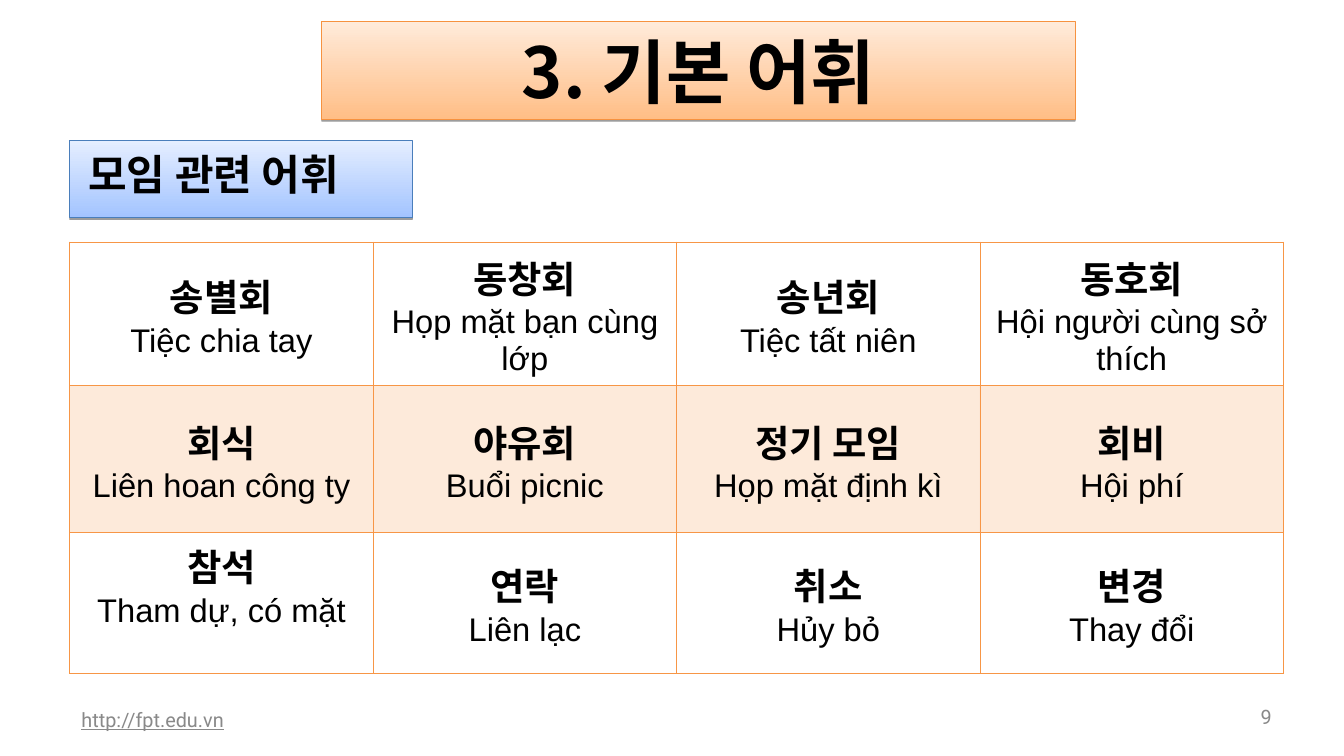
from dataclasses import dataclass

from lxml.etree import SubElement
from pptx import Presentation
from pptx.dml.color import RGBColor
from pptx.enum.shapes import MSO_SHAPE
from pptx.enum.text import MSO_ANCHOR, MSO_AUTO_SIZE, PP_ALIGN
from pptx.oxml.ns import qn
from pptx.util import Inches, Pt

COLUMNS, ROWS = 16, 9


@dataclass(frozen=True)
class Theme:
    """Colours, fonts and type sizes of the slide."""
    ink: str = "000000"
    muted: str = "898989"
    accent: str = "F79646"
    orange: tuple = ("FFBE86", "FFEBDB", "F69240")
    blue: tuple = ("A3C4FF", "E5EEFF", "4A7EBB")
    korean: str = "Noto Sans CJK KR"
    vietnamese: str = "Arial"
    footer: str = "Roboto"
    title_size: int = 60
    label_size: int = 36
    word_size: int = 32
    meaning_size: int = 28
    footer_size: int = 17


THEME = Theme()

VOCABULARY = [
    [("송별회", "Tiệc chia tay"), ("동창회", "Họp mặt bạn cùng lớp"),
     ("송년회", "Tiệc tất niên"), ("동호회", "Hội người cùng sở thích")],
    [("회식", "Liên hoan công ty"), ("야유회", "Buổi picnic"),
     ("정기 모임", "Họp mặt định kì"), ("회비", "Hội phí")],
    [("참석", "Tham dự, có mặt"), ("연락", "Liên lạc"),
     ("취소", "Hủy bỏ"), ("변경", "Thay đổi")],
]


def grid_box(deck, left, top, width, height):
    """Turn grid columns and rows into slide lengths."""
    column, row = deck.slide_width / COLUMNS, deck.slide_height / ROWS
    return int(left * column), int(top * row), int(width * column), int(height * row)


def write(para, text, size, face, color=THEME.ink, bold=False, underline=False,
          align=PP_ALIGN.LEFT):
    """Add one formatted span to a paragraph."""
    para.alignment = align
    span = para.add_run()
    span.text = text
    font = span.font
    font.size, font.bold, font.underline = Pt(size), bold, underline
    font.color.rgb = RGBColor.from_string(color)
    font.name = face
    SubElement(font._element, qn("a:ea"), typeface=face)


def set_frame(frame, anchor, side, edge):
    """Set wrapping, anchor and insets of a text frame."""
    frame.word_wrap = True
    frame.auto_size = MSO_AUTO_SIZE.NONE
    frame.vertical_anchor = anchor
    frame.margin_left = frame.margin_right = Inches(side)
    frame.margin_top = frame.margin_bottom = Inches(edge)


def paint_panel(shape, colors):
    """Give a shape an upward gradient, a thin outline and a drop shadow."""
    *stops, outline = colors
    shape.fill.gradient()
    shape.fill.gradient_angle = 90
    for stop, color, position in zip(shape.fill.gradient_stops, stops, (0, 1)):
        stop.color.rgb = RGBColor.from_string(color)
        stop.position = position
    shape.line.color.rgb = RGBColor.from_string(outline)
    shape.line.width = Pt(0.75)
    shape.shadow.inherit = False
    effects = shape._element.spPr.find(qn("a:effectLst"))
    shadow = SubElement(effects, qn("a:outerShdw"), blurRad="0", dist=str(Pt(1.6)),
                        dir="5400000", rotWithShape="0")
    color = SubElement(shadow, qn("a:srgbClr"), val="000000")
    SubElement(color, qn("a:alpha"), val="38000")


def add_title(page, box, text):
    """Format the title placeholder as a panel."""
    title = page.shapes.title
    title.left, title.top, title.width, title.height = box
    paint_panel(title, THEME.orange)
    set_frame(title.text_frame, MSO_ANCHOR.MIDDLE, 0.1, 0.05)
    write(title.text_frame.paragraphs[0], text, THEME.title_size, THEME.korean,
          bold=True, align=PP_ALIGN.CENTER)


def add_label(page, box, text):
    """Add the section label panel."""
    label = page.shapes.add_shape(MSO_SHAPE.RECTANGLE, *box)
    paint_panel(label, THEME.blue)
    frame = label.text_frame
    set_frame(frame, MSO_ANCHOR.TOP, 0.1, 0.1)
    frame.margin_left = Inches(0.22)
    write(frame.paragraphs[0], text, THEME.label_size, THEME.korean, bold=True)


def add_footer(page, box, text, **style):
    """Add a small muted footer text."""
    frame = page.shapes.add_textbox(*box).text_frame
    set_frame(frame, MSO_ANCHOR.MIDDLE, 0.14, 0.07)
    write(frame.paragraphs[0], text, THEME.footer_size, THEME.footer,
          color=THEME.muted, **style)


def add_borders(cell, widths):
    """Draw the left, right, top and bottom borders of a cell."""
    properties = cell._tc.get_or_add_tcPr()
    for side, width in zip("LRTB", widths):
        line = SubElement(properties, qn(f"a:ln{side}"), w=str(Pt(width)))
        fill = SubElement(line, qn("a:solidFill"))
        SubElement(fill, qn("a:srgbClr"), val=THEME.accent)


def fill_cell(cell, word, meaning, shaded, widths):
    """Write a word with its meaning and format the cell."""
    add_borders(cell, widths)
    if shaded:
        cell.fill.solid()
        cell.fill.fore_color.rgb = RGBColor.from_string(THEME.accent)
        color = cell._tc.tcPr.find(f"{qn('a:solidFill')}/{qn('a:srgbClr')}")
        SubElement(color, qn("a:alpha"), val="20000")
    else:
        cell.fill.background()
    cell.vertical_anchor = MSO_ANCHOR.MIDDLE
    frame = cell.text_frame
    write(frame.paragraphs[0], word, THEME.word_size, THEME.korean, bold=True,
          align=PP_ALIGN.CENTER)
    write(frame.add_paragraph(), meaning, THEME.meaning_size, THEME.vietnamese,
          align=PP_ALIGN.CENTER)


def add_vocabulary(page, box, row_heights):
    """Add the vocabulary table with its middle row shaded."""
    table = page.shapes.add_table(len(VOCABULARY), len(VOCABULARY[0]), *box).table
    table.first_row = table.horz_banding = False
    thin, thick = 0.45, 0.96
    borders = [(thin, thin, thin, thick), (thin, thin, thick, thin), (thin,) * 4]
    for index, entries in enumerate(VOCABULARY):
        table.rows[index].height = Inches(row_heights[index])
        for column, (word, meaning) in enumerate(entries):
            fill_cell(table.cell(index, column), word, meaning, index == 1, borders[index])
    table.cell(2, 0).margin_bottom = Inches(0.5)


def main():
    """Build and save the slide."""
    deck = Presentation()
    deck.slide_width, deck.slide_height = Inches(16), Inches(9)
    page = deck.slides.add_slide(deck.slide_layouts[5])
    add_footer(page, grid_box(deck, 0.83, 8.33, 5.07, 0.48), "http://fpt.edu.vn",
               underline=True)
    add_footer(page, grid_box(deck, 14.5, 8.33, 0.78, 0.41), "9", align=PP_ALIGN.RIGHT)
    add_label(page, grid_box(deck, 0.83, 1.67, 4.08, 0.92), "모임 관련 어휘")
    add_title(page, grid_box(deck, 3.83, 0.25, 8.97, 1.17), "3. 기본 어휘")
    add_vocabulary(page, grid_box(deck, 0.83, 2.88, 14.45, 5.13), (1.71, 1.75, 1.67))
    deck.save("out.pptx")


if __name__ == "__main__":
    main()
